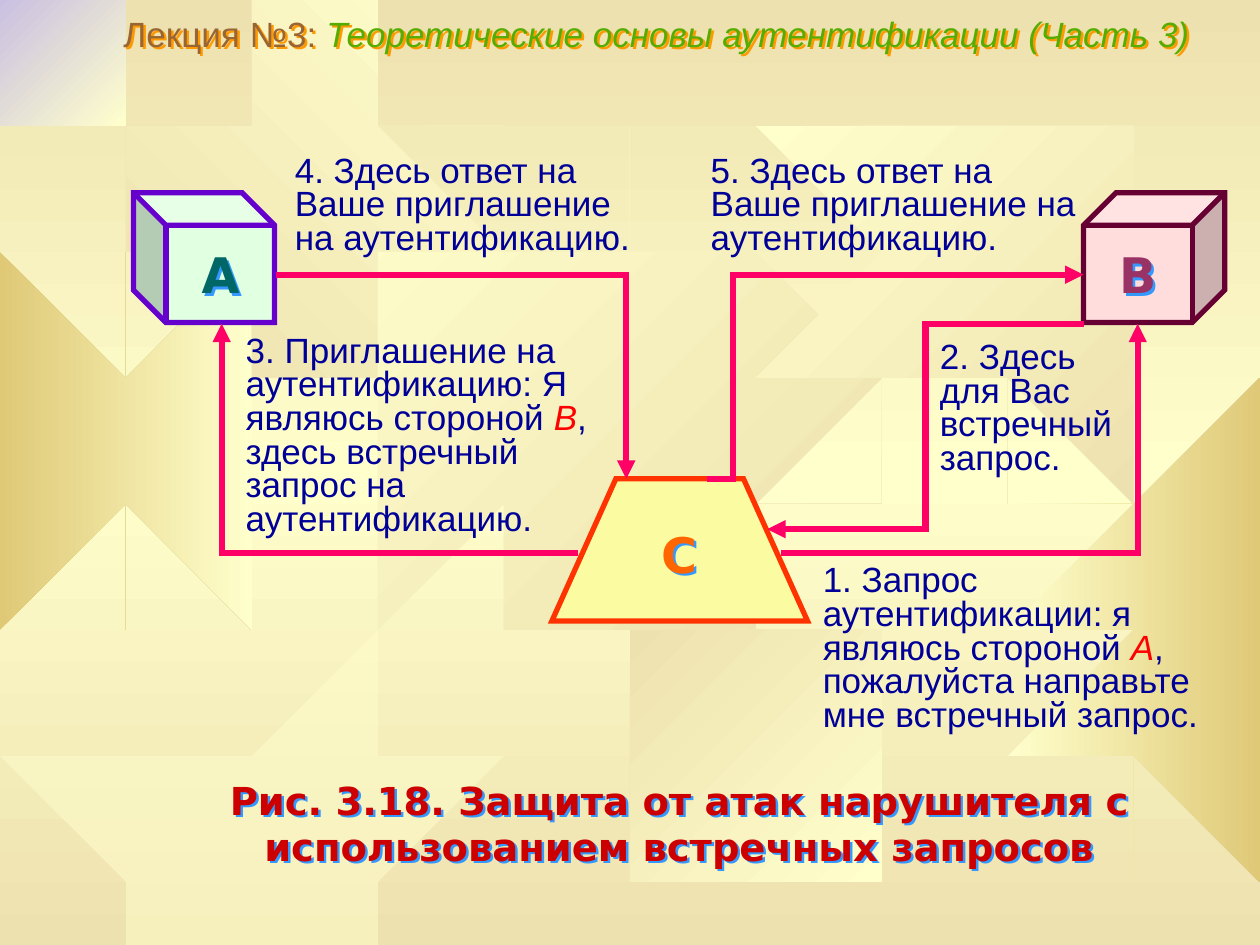
from copy import deepcopy
from pptx import Presentation
from pptx.dml.color import RGBColor
from pptx.enum.shapes import MSO_CONNECTOR, MSO_SHAPE
from pptx.enum.text import MSO_ANCHOR, MSO_AUTO_SIZE, PP_ALIGN
from pptx.oxml.ns import qn
from pptx.oxml.xmlchemy import OxmlElement
from pptx.util import Inches, Pt

W, H = 10, 7.5
C = RGBColor.from_string
SAND, CREAM, GOLD, LILAC = map(C, ("EDE1AF", "FFFFCC", "DFC977", "CAC0E2"))
NAVY, RED, PINK = map(C, ("000099", "FF0000", "FF0066"))
BROWN, GREEN, CRIMSON = map(C, ("996633", "56AC00", "CC0000"))
BLUE_SHADOW, ORANGE_SHADOW = "3399FF", "FF9900"

# Gear outline, in percent of its box
GEAR = [
    (64, 17), (56, 15), (55, 0), (45, 1), (44, 15), (38, 17), (28, 5), (22, 9),
    (28, 22), (23, 26), (9.5, 21), (6, 27), (17, 36), (15, 43), (0, 44), (0, 52),
    (15, 55), (17, 61), (5.5, 71.5), (9.5, 78), (22, 72), (27, 76.5), (20, 88.5), (26.5, 93.5),
    (38, 83), (44, 85), (46, 99.5), (55, 100), (56, 84.5), (64.5, 82), (74.5, 93), (81, 89),
    (74.5, 76), (79, 71), (92, 77), (96, 70), (84, 61), (85, 54), (100, 52), (100, 45),
    (85, 43), (83.5, 37), (95.5, 28.5), (91.5, 21.5), (78, 27), (74, 22.5), (80.5, 10), (74, 6),
]
# left, top, width, height, first colour, last colour, clockwise angle (None: half-clear fill)
GEARS = [
    (-0.49, 2.01, 2.97, 2.96, GOLD, CREAM, 0),
    (0.12, 0.02, 0.92, 0.86, LILAC, CREAM, 45),
    (1.3, 0.39, 2.48, 2.48, SAND, CREAM, 315),
    (2.77, 1.39, 4.01, 4.02, CREAM, SAND, 45),
    (0, 5.25, 3.74, 3.74, CREAM, CREAM, None),
    (4.91, 4.84, 2.48, 2.48, SAND, CREAM, 45),
    (6.18, 0.53, 3.2, 3.2, CREAM, SAND, 45),
    (7.82, 2.8, 4.37, 4.37, CREAM, GOLD, 0),
]

# Parties: preset, box, adjustment, mirrored, fill, line
PARTIES = [
    (MSO_SHAPE.CUBE, (1.06, 1.53, 1.12, 1.03), 0.25, True, "E1FFE1", "6600CC"),
    (MSO_SHAPE.CUBE, (8.6, 1.53, 1.12, 1.03), 0.25, False, "FFDDDD", "660033"),
    (MSO_SHAPE.TRAPEZOID, (4.38, 3.8, 2.03, 1.13), 0.45, False, "FBFBA1", "FF3300"),
]
# Messages: start, end, place of the bend, end that carries the arrowhead
ARROWS = [
    ((6.2, 4.39), (9.03, 2.57), 1, "tailEnd"),
    ((8.6, 2.18), (5.61, 3.8), 0.93, "headEnd"),
    ((8.6, 2.57), (6.09, 4.2), 0.5, "tailEnd"),
    ((2.19, 2.18), (4.97, 3.8), 1, "tailEnd"),
    ((4.59, 4.39), (1.76, 2.57), 1, "tailEnd"),
]
# Message texts: box, runs (every second run names a party)
MESSAGES = [
    ((6.53, 4.49, 3.15, 1.34), ["1. Запрос аутентификации: я являюсь стороной ", "А",
                                ", пожалуйста направьте мне встречный запрос."]),
    ((7.46, 2.72, 1.48, 1.07), ["2. Здесь для Вас встречный запрос."]),
    ((1.95, 2.67, 2.89, 1.6), ["3. Приглашение на аутентификацию: Я являюсь стороной ", "В",
                               ", здесь встречный запрос на аутентификацию."]),
    ((2.34, 1.24, 2.76, 0.8), ["4. Здесь ответ на Ваше приглашение на аутентификацию."]),
    ((5.64, 1.24, 2.95, 0.8), ["5. Здесь ответ на Ваше приглашение на аутентификацию."]),
]
# Letters and caption: box, text, size, colour
LABELS = [
    ((1.56, 1.94, 0.38, 0.47), "А", 28, C("006666")),
    ((8.84, 1.94, 0.38, 0.47), "В", 28, C("993366")),
    ((5.2, 4.16, 0.38, 0.47), "С", 28, C("FF6600")),
    ((1.06, 6.16, 8.66, 0.74),
     "Рис. 3.18. Защита от атак нарушителя с использованием встречных запросов", 22, CRIMSON),
]
TITLE = [("Лекция №3: ", BROWN, False),
         ("Теоретические основы аутентификации (Часть 3)", GREEN, True)]


def add_child(parent, tag, **attrs):
    child = OxmlElement(tag)
    for name, value in attrs.items():
        child.set(name, str(value))
    parent.append(child)
    return child


def set_gradient(fill, first, last, angle):
    fill.gradient()
    fill.gradient_angle = -angle % 360
    for stop, color, position in zip(fill.gradient_stops, (first, last), (0, 1)):
        stop.color.rgb, stop.position = color, position


def add_gear(slide, left, top, width, height, first, last, angle):
    points = [(min(max(left + x * width / 100, 0), W), min(max(top + y * height / 100, 0), H))
              for x, y in GEAR]
    fb = slide.shapes.build_freeform(*points[0], scale=Inches(1))
    fb.add_line_segments(points[1:], close=True)
    sp = fb.convert_to_shape()
    sp.shadow.inherit = False
    sp.line.fill.background()
    if angle is None:
        sp.fill.solid()
        sp.fill.fore_color.rgb = first
        color = next(sp._element.spPr.iter(qn("a:srgbClr")))
        add_child(color, "a:alpha", val=50000)
    else:
        set_gradient(sp.fill, first, last, angle)


def add_text(slide, box, runs, shadow=None, spacing=None, align=None, anchor=MSO_ANCHOR.MIDDLE):
    """runs: (text, dict of font values, colour)"""
    sp = slide.shapes.add_textbox(*map(Inches, box))
    tf = sp.text_frame
    settings = dict(margin_left=0, margin_right=0, margin_top=0, margin_bottom=0, word_wrap=True,
                    auto_size=MSO_AUTO_SIZE.SHAPE_TO_FIT_TEXT, vertical_anchor=anchor)
    for name, value in settings.items():
        setattr(tf, name, value)
    p = tf.paragraphs[0]
    p.line_spacing, p.alignment = spacing, align
    for text, font, color in runs:
        r = p.add_run()
        r.text = text
        for name, value in font.items():
            setattr(r.font, name, value)
        r.font.color.rgb = color
    if shadow:
        effects = add_child(sp._element.spPr, "a:effectLst")
        outer = add_child(effects, "a:outerShdw", dist=Pt(2), dir=2700000, algn="ctr", rotWithShape=0)
        add_child(outer, "a:srgbClr", val=shadow)


prs = Presentation()
prs.slide_width, prs.slide_height = Inches(W), Inches(H)
s = prs.slides.add_slide(prs.slide_layouts[6])

# Background: sand, cream, sand
set_gradient(s.background.fill, SAND, CREAM, 90)
stops = next(s._element.iter(qn("a:gsLst")))
stops[1].set("pos", "50000")
stops.append(deepcopy(stops[0]))
stops[2].set("pos", "100000")
for gear in GEARS:
    add_gear(s, *gear)

# Title
add_text(s, (0.98, 0.13, 9.02, 0.31),
         [(text, dict(size=Pt(20), name="Arial", italic=italic), color)
          for text, color, italic in TITLE], ORANGE_SHADOW, 0.9)

# Parties
for preset, box, adjustment, mirrored, fill, line in PARTIES:
    sp = s.shapes.add_shape(preset, *map(Inches, box))
    sp.adjustments[0] = adjustment
    sp.shadow.inherit = False
    sp.fill.solid()
    sp.fill.fore_color.rgb = C(fill)
    sp.line.color.rgb, sp.line.width = C(line), Pt(3)
    add_child(sp.line._get_or_add_ln(), "a:miter", lim=800000)
    if mirrored:
        sp._element.spPr.xfrm.set("flipH", "1")

# Message arrows
for start, end, bend, head in ARROWS:
    cn = s.shapes.add_connector(MSO_CONNECTOR.ELBOW, *map(Inches, start + end))
    cn.line.color.rgb, cn.line.width = PINK, Pt(3.5)
    ln = cn.line._get_or_add_ln()
    add_child(ln, "a:miter", lim=800000)
    add_child(ln, "a:" + head, type="triangle")
    spPr = cn._element.spPr
    add_child(spPr, "a:effectLst")
    guides = next(spPr.iter(qn("a:avLst")))
    add_child(guides, "a:gd", name="adj1", fmla=f"val {round(bend * 100000)}")

# Message texts, letters and caption
for box, parts in MESSAGES:
    add_text(s, box, [(text, dict(size=Pt(20), name="Arial", italic=bool(i % 2)), RED if i % 2 else NAVY)
                      for i, text in enumerate(parts)], spacing=0.8)
for box, text, size, color in LABELS:
    add_text(s, box, [(text, dict(size=Pt(size), name="DejaVu Sans", bold=True), color)],
             BLUE_SHADOW, align=PP_ALIGN.CENTER)

prs.save("out.pptx")
